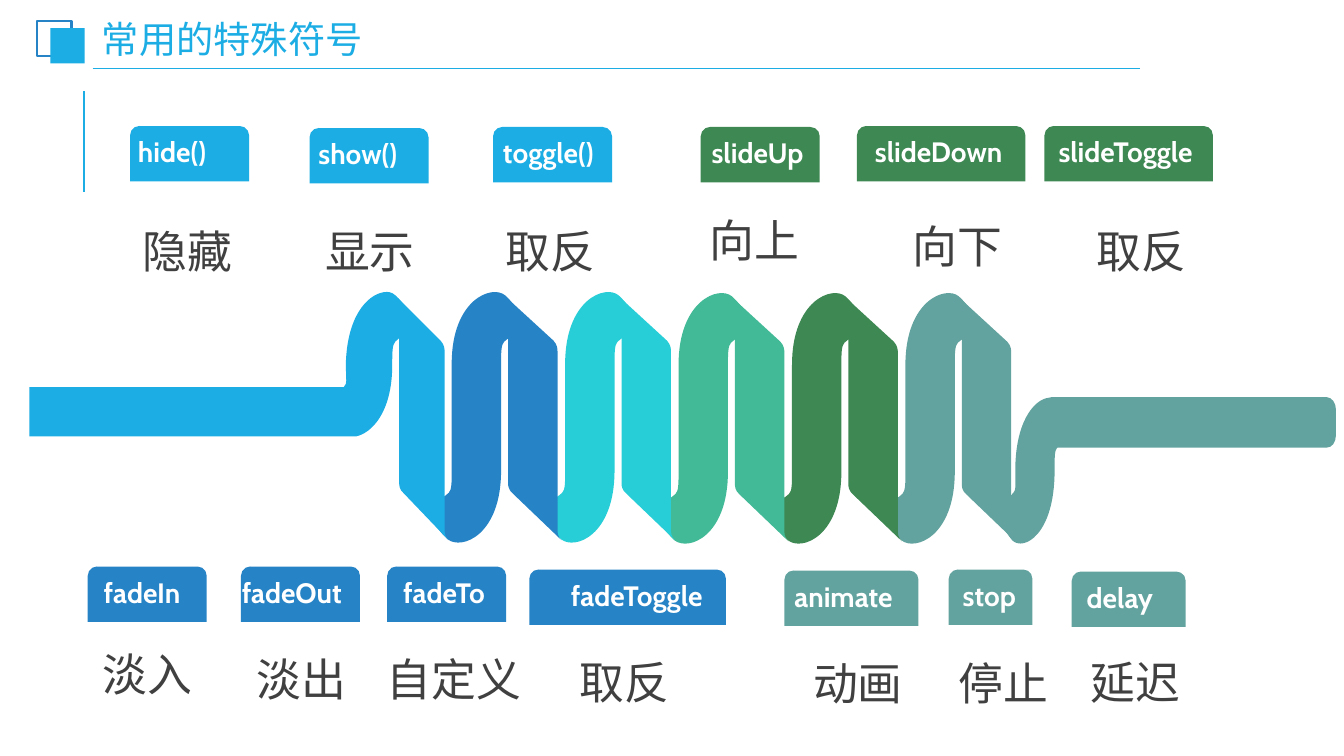
from pptx import Presentation
from pptx.dml.color import RGBColor
from pptx.enum.shapes import MSO_CONNECTOR, MSO_SHAPE
from pptx.enum.text import MSO_ANCHOR, MSO_AUTO_SIZE, PP_ALIGN
from pptx.oxml.ns import qn
from pptx.util import Pt
from lxml import etree

PX = 9144  # EMU per px, 100 px to the inch
RECTANGLE, TAB = MSO_SHAPE.RECTANGLE, MSO_SHAPE.ROUND_2_SAME_RECTANGLE
STRAIGHT = MSO_CONNECTOR.STRAIGHT
LEFT, CENTER = PP_ALIGN.LEFT, PP_ALIGN.CENTER
MIDDLE = MSO_ANCHOR.MIDDLE
NO_FIT, GROW = MSO_AUTO_SIZE.NONE, MSO_AUTO_SIZE.SHAPE_TO_FIT_TEXT
FONT = "Cabin"
COLORS = {
    "sky": "1CADE4", "blue": "2683C6", "cyan": "27CED7", "mint": "42BA97",
    "green": "3E8853", "sage": "62A39F", "white": "FFFFFF", "ink": "404040",
}
COIL_PITCH = 112.5
COILS = [("blue", 0), ("cyan", 0), ("mint", 1), ("green", 1), ("sage", 1)]

# method, colour, tab (left, top, width), word (left, width, alignment)
METHODS = [
    ("hide()", "sky", (129, 125, 118), (127, 118, LEFT)),
    ("show()", "sky", (307, 127, 118), (306, 118, LEFT)),
    ("toggle()", "sky", (489, 126, 118), (489, 118, LEFT)),
    ("slideUp", "green", (695, 126, 118), (696, 123, LEFT)),
    ("slideDown", "green", (850, 125, 167), (858, 167, LEFT)),
    ("slideToggle", "green", (1036, 125, 167), (1040, 171, LEFT)),
    ("fadeIn", "blue", (87, 562, 118), (93, 118, LEFT)),
    ("fadeOut", "blue", (239, 562, 118), (230, 152, LEFT)),
    ("fadeTo", "blue", (384, 562, 118), (390, 118, LEFT)),
    ("fadeToggle", "blue", (525, 565, 195), (534, 195, CENTER)),
    ("animate", "sage", (778, 566, 133), (778, 139, LEFT)),
    ("stop", "sage", (941, 565, 83), (945, 83, LEFT)),
    ("delay", "sage", (1063, 567, 113), (1068, 113, LEFT)),
]
MEANINGS = [
    ("隐藏", 55, 201), ("显示", 236, 201), ("取反", 415, 201),
    ("向上", 617, 190), ("向下", 819, 196), ("取反", 1001, 201),
    ("淡入", 15, 621), ("淡出", 168, 626), ("自定义", 319, 626),
    ("取反", 488, 629), ("动画", 720, 630), ("停止", 864, 630),
    ("延迟", 995, 629),
]

# Each step is a line end (2 numbers) or a cubic curve (6 numbers).
LEAD_IN = [
    (380, 290), (385, 289, 389, 290, 392, 293), (400, 300, 413, 319, 411, 328),
    (409, 335, 400, 330, 392, 339), (389, 342, 389, 350, 389, 362),
    (389, 410, 368, 430, 353, 433), (29, 433), (29, 384), (341, 384),
    (343, 381), (344, 377, 343, 370, 343, 362), (344, 314, 364, 293, 380, 290),
]
LEAD_OUT = [
    (1043, 394), (1316, 394), (1321, 394, 1325, 400, 1325, 406), (1325, 432),
    (1325, 439, 1321, 444, 1316, 444), (1049, 444), (1048, 445),
    (1046, 447, 1046, 455, 1046, 467), (1046, 531, 1015, 547, 1004, 536),
    (997, 528, 987, 510, 989, 500), (990, 494, 998, 498, 1005, 489),
    (1008, 487, 1007, 479, 1007, 467), (1007, 419, 1025, 398, 1038, 395),
    (1040, 395, 1041, 394, 1043, 394),
]
RISING_BAND = [
    (497, 467), (497, 362), (497, 350, 497, 342, 500, 339),
    (509, 330, 518, 335, 520, 328), (523, 319, 509, 300, 501, 293),
    (488, 282, 448, 297, 448, 361), (448, 467),
    (448, 479, 448, 486, 445, 489), (436, 498, 427, 494, 425, 500),
    (422, 509, 436, 528, 444, 535), (458, 546, 497, 531, 497, 467),
]


def falling_band(left, right):
    return [
        (right, 527), (right, 349), (right, 347, right, 342, right - 4, 338),
        (left - 4, 293), (left - 3, 293, left, 297, left, 302), (left, 480),
        (left, 481, left, 486, left + 5, 490), (right + 4, 536),
        (right + 3, 535, right, 532, right, 527),
    ]


def color(name):
    return RGBColor.from_string(COLORS[name])


def paint(shape, fill):
    shape.shadow.inherit = False
    shape.fill.solid()
    shape.fill.fore_color.rgb = color(fill)
    shape.line.fill.background()


def add_band(slide, steps, fill, dx=0, dy=0):
    """Draw the steps as straight lines, then bend those that are curves."""
    placed = [[(round((x + dx) * PX), round((y + dy) * PX))
               for x, y in zip(step[::2], step[1::2])] for step in steps]
    builder = slide.shapes.build_freeform(*placed[0][-1])
    builder.add_line_segments([step[-1] for step in placed[1:]], close=True)
    band = builder.convert_to_shape()
    segments = list(band._element.iter(qn("a:lnTo")))
    for segment, (*handles, _) in zip(segments, placed[1:]):
        if handles:
            segment.tag = qn("a:cubicBezTo")
        for position, (x, y) in enumerate(handles):
            handle = etree.Element(qn("a:pt"), x=str(x - band.left), y=str(y - band.top))
            segment.insert(position, handle)
    paint(band, fill)


def add_block(slide, kind, left, top, width, height, fill):
    block = slide.shapes.add_shape(kind, left * PX, top * PX, width * PX, height * PX)
    paint(block, fill)
    return block


def add_rule(slide, x1, y1, x2, y2, weight):
    rule = slide.shapes.add_connector(STRAIGHT, x1 * PX, y1 * PX, x2 * PX, y2 * PX)
    rule.line.color.rgb = color("sky")
    rule.line.width = Pt(weight)
    etree.SubElement(rule._element.spPr, qn("a:effectLst"))


def write(frame, words, size, ink, align, spacing=1.0, bold=False):
    frame.word_wrap = True
    frame.text = words
    paragraph = frame.paragraphs[0]
    paragraph.alignment = align
    paragraph.line_spacing = spacing
    font = paragraph.runs[0].font
    font.name, font.size, font.bold = FONT, Pt(size), bold
    font.color.rgb = color(ink)


def add_words(slide, left, top, width, height, *style, **options):
    box = slide.shapes.add_textbox(left * PX, top * PX, width * PX, height * PX)
    write(box.text_frame, *style, **options)
    box.text_frame.auto_size = GROW


def add_heading(slide):
    title = slide.shapes.title
    title.left, title.top, title.width, title.height = 94 * PX, 23 * PX, 393 * PX, 37 * PX
    frame = title.text_frame
    write(frame, "常用的特殊符号", 26.6, "sky", LEFT, spacing=0.9)
    frame.auto_size = NO_FIT
    frame.vertical_anchor = MIDDLE
    frame.margin_left = frame.margin_right = 7 * PX
    frame.margin_top = frame.margin_bottom = 4 * PX
    add_rule(slide, 83, 190, 83, 90, 1.5)
    add_rule(slide, 92, 68, 1131, 68, 1.25)
    hollow = add_block(slide, RECTANGLE, 37, 21, 34, 35, "white")
    hollow.fill.background()
    hollow.line.color.rgb = color("blue")
    hollow.line.width = Pt(1.5)
    add_block(slide, RECTANGLE, 50, 28, 34, 35, "sky")


def add_spring(slide):
    add_band(slide, LEAD_OUT, "sage")
    for turn, (fill, drop) in reversed(list(enumerate(COILS))):
        shift = turn * COIL_PITCH
        add_band(slide, RISING_BAND, fill, shift, drop)
        add_band(slide, falling_band(504, 553), fill, shift, drop)
    add_band(slide, LEAD_IN, "sky")
    add_band(slide, falling_band(396, 441), "sky")


def add_method(slide, method, fill, tab, word):
    left, top, width = tab
    word_left, word_width, align = word
    add_block(slide, TAB, left, top, width, 55, fill)
    add_words(slide, word_left, top + 4, word_width, 44,
              method, 20, "white", align, bold=True)


def main():
    deck = Presentation()
    deck.slide_width, deck.slide_height = 1333 * PX, 750 * PX
    slide = deck.slides.add_slide(deck.slide_layouts[5])
    add_heading(slide)
    add_spring(slide)
    for method in METHODS:
        add_method(slide, *method)
    for meaning, left, top in MEANINGS:
        add_words(slide, left, top, 262, 75, meaning, 32, "ink", CENTER, spacing=1.3)
    deck.save("out.pptx")


if __name__ == "__main__":
    main()
